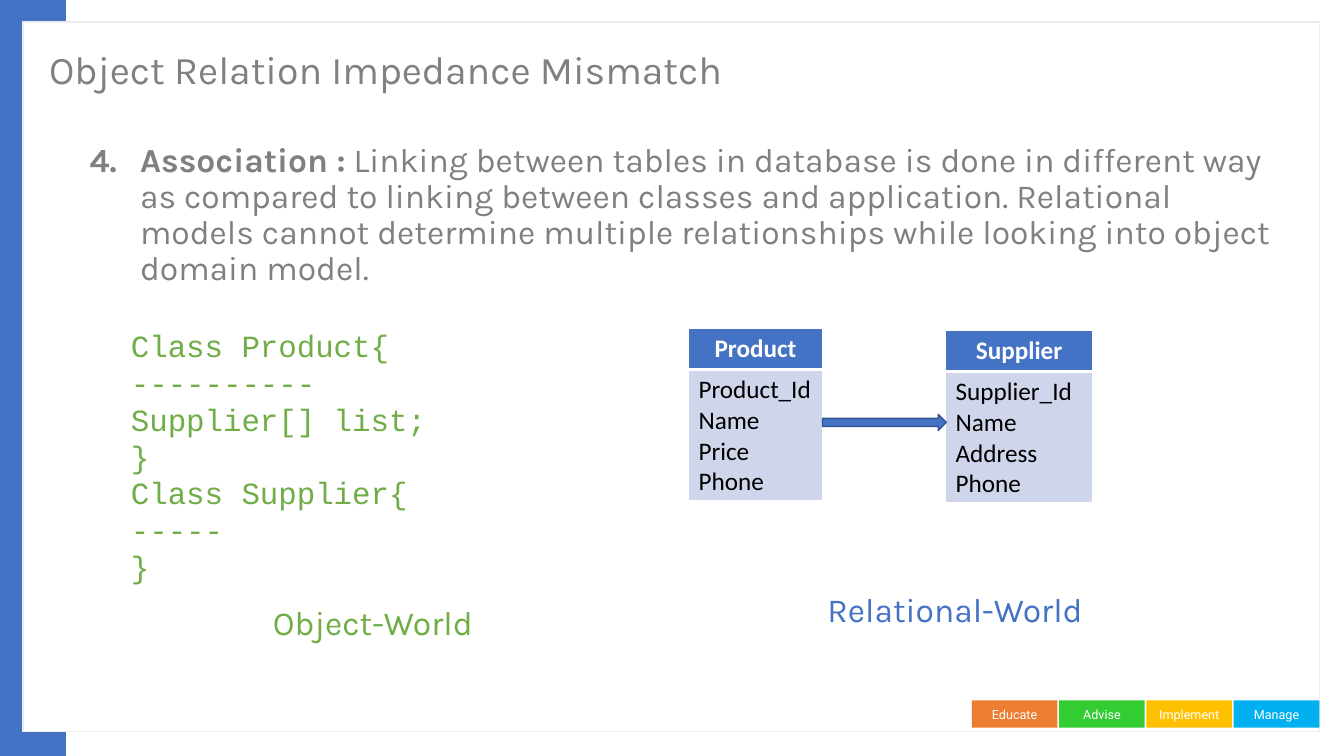
from dataclasses import dataclass

from lxml.etree import SubElement
from pptx import Presentation
from pptx.dml.color import RGBColor
from pptx.enum.shapes import MSO_SHAPE
from pptx.enum.text import MSO_ANCHOR, PP_ALIGN
from pptx.oxml.ns import qn
from pptx.util import Cm, Pt

TITLE = "Object Relation Impedance Mismatch"
POINT_NUMBER = 4
POINT = [
    ("Association :", True),
    (" Linking between tables in database is done in different way as compared to "
     "linking between classes and application. Relational models cannot determine "
     "multiple relationships while looking into object domain model.", False),
]
CODE = [
    "Class Product{",
    "----------",
    "Supplier[] list;",
    "}",
    "Class Supplier{",
    "-----",
    "}",
]
# name, columns, (left, top, width) in cm
ENTITIES = [
    ("Supplier", ["Supplier_Id", "Name", "Address", "Phone"], (23.83, 8.33, 3.71)),
    ("Product", ["Product_Id", "Name", "Price", "Phone"], (17.35, 8.28, 3.38)),
]
FOOTER = [
    ("Educate", "ED7D31"),
    ("Advise", "33CC33"),
    ("Implement", "FFC000"),
    ("Manage", "00B0F0"),
]


@dataclass(frozen=True)
class Theme:
    blue: str = "4472C4"
    dark_blue: str = "325491"
    pale_blue: str = "CFD5EA"
    green: str = "70AD47"
    gray: str = "808080"
    frame: str = "EDEDED"
    white: str = "FFFFFF"
    black: str = "000000"
    text_font: str = "Karla"
    code_font: str = "Courier New"
    table_font: str = "Calibri"
    footer_font: str = "Roboto"
    title_size: float = 28
    body_size: float = 24
    code_size: float = 22
    code_pitch: float = 26.4
    table_size: float = 18
    footer_size: float = 9


THEME = Theme()


def write(frame, lines, *, font=THEME.text_font, size=THEME.body_size, color=THEME.gray,
          bold=False, align=None, spacing=None, anchor=None):
    """Fill a text frame; each line is a string or a list of (text, bold) runs."""
    frame.word_wrap = True
    if anchor is not None:
        frame.vertical_anchor = anchor
    for index, line in enumerate(lines):
        paragraph = frame.paragraphs[0] if index == 0 else frame.add_paragraph()
        paragraph.alignment = align
        paragraph.line_spacing = spacing
        for text, is_bold in [(line, bold)] if isinstance(line, str) else line:
            run = paragraph.add_run()
            run.text = text
            run.font.name = font
            run.font.size = Pt(size)
            run.font.bold = is_bold
            run.font.color.rgb = RGBColor.from_string(color)
    return frame


def add_text(slide, box, lines, **style):
    shape = slide.shapes.add_textbox(*map(Cm, box))
    return write(shape.text_frame, lines, **style)


def add_block(slide, box, fill, line=None, kind=MSO_SHAPE.RECTANGLE):
    shape = slide.shapes.add_shape(kind, *map(Cm, box))
    shape.shadow.inherit = False
    shape.fill.solid()
    shape.fill.fore_color.rgb = RGBColor.from_string(fill)
    if line:
        shape.line.color.rgb = RGBColor.from_string(line)
        shape.line.width = Pt(1)
    else:
        shape.line.fill.background()
    return shape


def add_solid_line(parent, tag, color, points):
    line = SubElement(parent, qn(tag), w=str(Pt(points)))
    fill = SubElement(line, qn("a:solidFill"))
    SubElement(fill, qn("a:srgbClr"), val=color)
    return line


def number_paragraph(paragraph, start):
    properties = paragraph._p.get_or_add_pPr()
    properties.set("marL", str(Cm(1.27)))
    properties.set("indent", str(-Cm(1.27)))
    SubElement(properties, qn("a:buFont"), typeface="+mj-lt")
    SubElement(properties, qn("a:buAutoNum"), type="arabicPeriod", startAt=str(start))


def style_cell(cell, fill, borders):
    """Borders map an edge tag to a width in points; they precede the fill."""
    properties = cell._tc.get_or_add_tcPr()
    for tag, points in borders.items():
        add_solid_line(properties, tag, THEME.white, points)
    cell.fill.solid()
    cell.fill.fore_color.rgb = RGBColor.from_string(fill)


def add_entity(slide, name, columns, place):
    left, top, width = place
    heights = (1.03, 3.31)
    box = (left, top, width, sum(heights))
    table = slide.shapes.add_table(2, 1, *map(Cm, box)).table
    for row, height in zip(table.rows, heights):
        row.height = Cm(height)
    header, body = table.cell(0, 0), table.cell(1, 0)
    write(header.text_frame, [name], font=THEME.table_font, size=THEME.table_size,
          color=THEME.white, bold=True, align=PP_ALIGN.CENTER)
    write(body.text_frame, columns, font=THEME.table_font, size=THEME.table_size,
          color=THEME.black)
    style_cell(header, THEME.blue, {"a:lnL": 1, "a:lnR": 1, "a:lnT": 1, "a:lnB": 3})
    style_cell(body, THEME.pale_blue, {"a:lnL": 1, "a:lnR": 1, "a:lnB": 1})


def add_footer(slide):
    left, top, width, height, pitch = 24.49, 17.65, 2.16, 0.69, 2.2
    for index, (label, color) in enumerate(FOOTER):
        shape = add_block(slide, (left + index * pitch, top, width, height), color)
        write(shape.text_frame, [label], font=THEME.footer_font, size=THEME.footer_size,
              color=THEME.white, align=PP_ALIGN.CENTER, anchor=MSO_ANCHOR.MIDDLE)


def main():
    presentation = Presentation()
    presentation.slide_width, presentation.slide_height = Cm(33.87), Cm(19.05)
    slide = presentation.slides.add_slide(presentation.slide_layouts[6])

    add_block(slide, (0, 0, 1.66, 19.05), THEME.blue)
    add_block(slide, (0.58, 0.56, 32.67, 17.88), THEME.white, THEME.frame)
    add_footer(slide)

    add_text(slide, (0.99, 0.71, 26.21, 2.21), [TITLE], size=THEME.title_size,
             spacing=0.9, anchor=MSO_ANCHOR.MIDDLE)
    point = add_text(slide, (2.01, 3.48, 30.66, 14.05), [POINT], spacing=0.9)
    number_paragraph(point.paragraphs[0], POINT_NUMBER)

    object_world = add_text(slide, (6.63, 15.04, 6.38, 1.27), ["Object-World"],
                            color=THEME.green)
    run_properties = object_world.paragraphs[0].runs[0]._r.get_or_add_rPr()
    outline = add_solid_line(run_properties, "a:ln", THEME.green, 0.75)
    run_properties.insert(0, outline)
    add_text(slide, (20.6, 14.71, 7.37, 1.27), ["Relational-World"], color=THEME.blue)

    add_text(slide, (3.05, 8.1, 9.96, 7.77), CODE, font=THEME.code_font,
             size=THEME.code_size, color=THEME.green, spacing=Pt(THEME.code_pitch))
    for entity in ENTITIES:
        add_entity(slide, *entity)
    add_block(slide, (20.73, 10.44, 3.12, 0.41), THEME.blue, THEME.dark_blue,
              MSO_SHAPE.RIGHT_ARROW)

    presentation.save("out.pptx")


if __name__ == "__main__":
    main()
